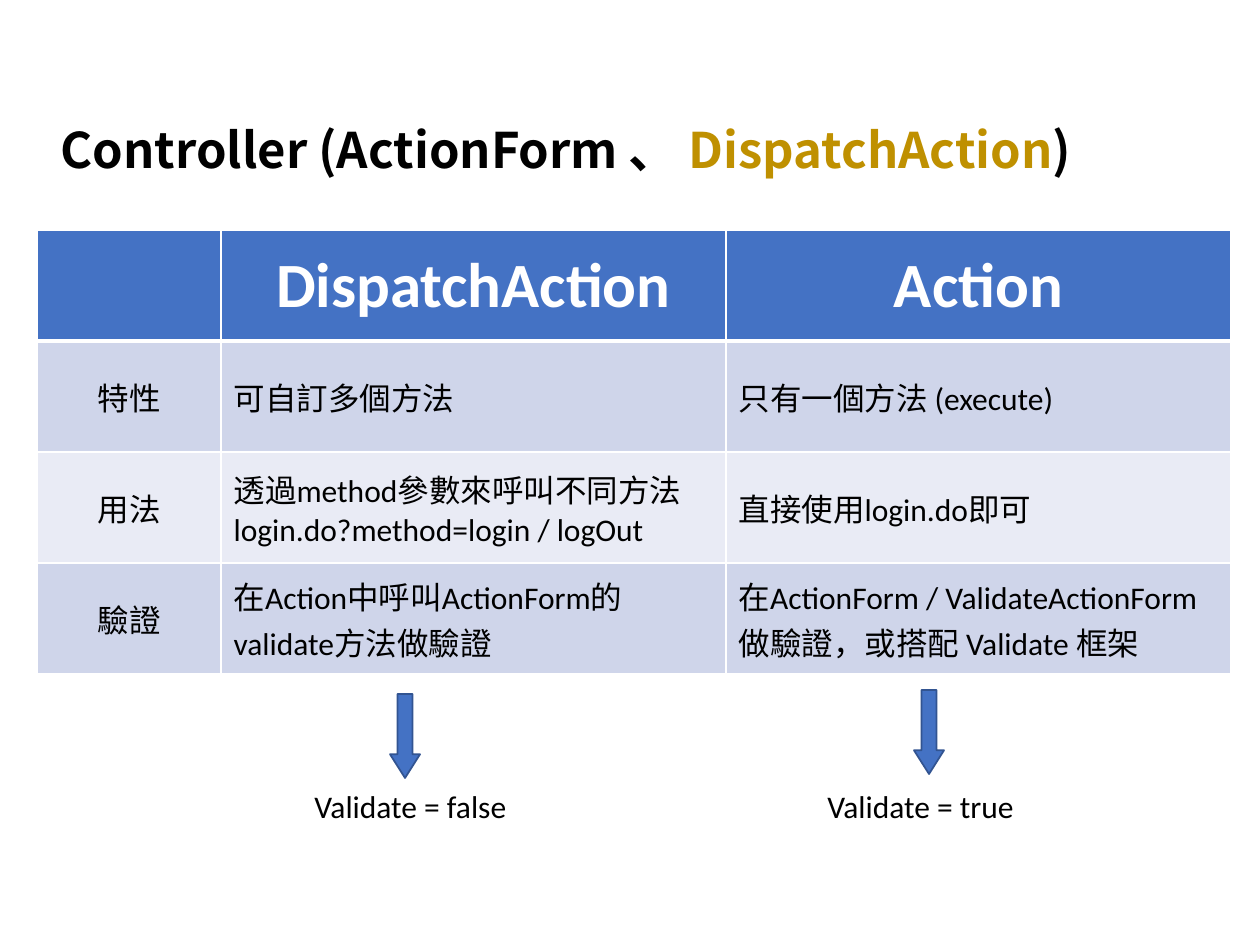
import pptx
import pptx.dml.color
import pptx.enum.shapes
import pptx.enum.text
import pptx.oxml.ns
import pptx.util
from lxml import etree

EMU_PER_PX = 914400 / 126
COLORS = {
    "black": "000000", "white": "FFFFFF", "gold": "BF9000",
    "blue": "4472C4", "outline": "325491",
    "band_dark": "CFD5EA", "band_light": "E9EBF5",
}
ALIGN = pptx.enum.text.PP_ALIGN
ANCHOR = pptx.enum.text.MSO_ANCHOR
LATIN, CJK = "Calibri", "Noto Sans CJK TC"


def px(value):
    return pptx.util.Emu(round(value * EMU_PER_PX))


def rgb(name):
    return pptx.dml.color.RGBColor.from_string(COLORS[name])


class SlideBuilder:
    """Holds the text styles and the slide being filled."""

    styles = {
        "title": {"name": CJK, "size": pptx.util.Pt(28), "bold": True},
        "header": {"name": LATIN, "size": pptx.util.Pt(36), "bold": True},
        "body": {"name": LATIN, "size": pptx.util.Pt(18), "bold": False},
    }

    def __init__(self, slide):
        self.slide = slide

    def run(self, paragraph, text, style, color):
        run = paragraph.add_run()
        run.text = text
        for key, value in self.styles[style].items():
            setattr(run.font, key, value)
        run.font.color.rgb = rgb(color)
        east_asian = etree.Element(pptx.oxml.ns.qn("a:ea"), typeface=CJK)
        run.font._element.find(pptx.oxml.ns.qn("a:latin")).addnext(east_asian)

    def title(self, box, parts):
        title = self.slide.shapes.title
        for key, value in zip(("left", "top", "width", "height"), box):
            setattr(title, key, px(value))
        frame = title.text_frame
        frame.auto_size = pptx.enum.text.MSO_AUTO_SIZE.NONE
        frame.vertical_anchor = ANCHOR.MIDDLE
        paragraph = frame.paragraphs[0]
        for key, value in {"alignment": ALIGN.LEFT, "line_spacing": 0.9}.items():
            setattr(paragraph, key, value)
        for text, color in parts:
            self.run(paragraph, text, "title", color)

    def border(self, cell, side, points):
        line = etree.SubElement(cell._tc.get_or_add_tcPr(),
                                pptx.oxml.ns.qn("a:ln" + side),
                                w=str(pptx.util.Pt(points)))
        fill = etree.SubElement(line, pptx.oxml.ns.qn("a:solidFill"))
        etree.SubElement(fill, pptx.oxml.ns.qn("a:srgbClr"), val=COLORS["white"])

    def cell(self, cell, text, row, column):
        header = row == 0
        for side in "LRTB":
            thick = (row, side) in ((0, "B"), (1, "T"))
            self.border(cell, side, 3 if thick else 1)
        cell.fill.solid()
        band = "band_dark" if row % 2 else "band_light"
        cell.fill.fore_color.rgb = rgb("blue" if header else band)
        cell.vertical_anchor = ANCHOR.MIDDLE
        if not text:
            return
        for index, line in enumerate(text.split("\n")):
            frame = cell.text_frame
            paragraph = frame.add_paragraph() if index else frame.paragraphs[0]
            centred = header or column == 0
            paragraph.alignment = ALIGN.CENTER if centred else ALIGN.LEFT
            self.run(paragraph, line, "header" if header else "body",
                     "white" if header else "black")

    def table(self, left, top, widths, row_height, rows):
        table = self.slide.shapes.add_table(
            len(rows), len(widths), px(left), px(top),
            px(sum(widths)), px(row_height * len(rows))).table
        for column, width in zip(table.columns, widths):
            column.width = px(width)
        for row_index, texts in enumerate(rows):
            table.rows[row_index].height = px(row_height)
            for column_index, text in enumerate(texts):
                self.cell(table.cell(row_index, column_index), text,
                          row_index, column_index)

    def label(self, box, text):
        shape = self.slide.shapes.add_textbox(*map(px, box))
        shape.text_frame.word_wrap = True
        self.run(shape.text_frame.paragraphs[0], text, "body", "black")

    def down_arrow(self, box):
        shape = self.slide.shapes.add_shape(
            pptx.enum.shapes.MSO_SHAPE.RIGHT_ARROW, *map(px, box))
        shape.rotation = 90
        shape.adjustments[1] = 0.79
        shape.shadow.inherit = False
        shape.fill.solid()
        shape.fill.fore_color.rgb = rgb("blue")
        shape.line.color.rgb = rgb("outline")
        shape.line.width = pptx.util.Pt(1)


def main():
    presentation = pptx.Presentation()
    presentation.slide_width = px(1260)
    presentation.slide_height = px(945)
    title_only = presentation.slide_layouts[5]
    builder = SlideBuilder(presentation.slides.add_slide(title_only))

    # Title
    builder.title((48, 115, 1164, 76), [
        ("Controller (ActionForm 、 ", "black"),
        ("DispatchAction", "gold"),
        (")", "black"),
    ])

    # Comparison table
    builder.table(37, 230, (184, 505, 505), 111, [
        ("", "DispatchAction", "Action"),
        ("特性", "可自訂多個方法", "只有一個方法 (execute)"),
        ("用法", "透過method參數來呼叫不同方法\nlogin.do?method=login / logOut",
         "直接使用login.do即可"),
        ("驗證", "在Action中呼叫ActionForm的validate方法做驗證",
         "在ActionForm / ValidateActionForm\n做驗證，或搭配 Validate 框架"),
    ])

    # Validation setting below each column
    for text, label_left, arrow_left, arrow_top in (
            ("Validate = false", 302, 363, 721),
            ("Validate = true", 815, 887, 717)):
        builder.label((label_left, 781, 228, 53), text)
        builder.down_arrow((arrow_left, arrow_top, 84, 30))

    presentation.save("out.pptx")


if __name__ == "__main__":
    main()
